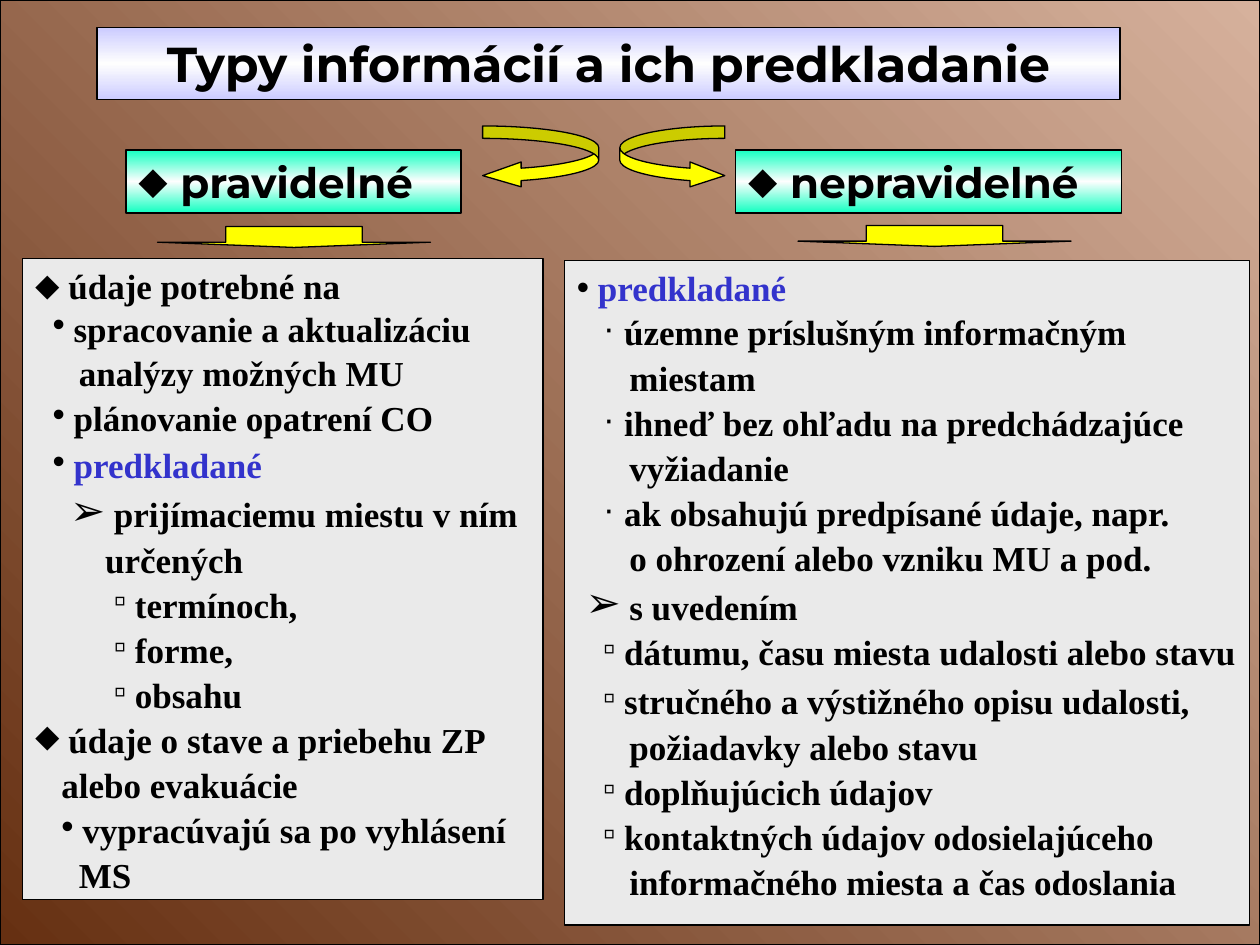
"""Build the slide on types of information and how they are submitted."""
from lxml import etree
from pptx import Presentation
from pptx import util as u
from pptx.dml import color
from pptx.enum import shapes, text
from pptx.oxml import ns

SERIF, SANS = "Times New Roman", "Montserrat"
BLACK, BLUE, YELLOW, GREY = "000000", "3333CC", "FFFF00", "EAEAEA"
BACK = ["D6B19C", "663012"]
LILAC = ["CCCCFF", "FEFEFE", "CCCCFF"]
MINT = ["13FFC1", "FEFEFE", "13FFC1"]

TITLE = "Typy informácií a ich predkladanie"
HEADS = [("pravidelné", (72, 85.7, 191.5, 36)),
         ("nepravidelné", (420.5, 85.7, 220.3, 36))]

# mark: (bullet, bullet start, text start)
MARKS = {
    "main": ("⬥", 0, 19), "dot": ("•", 10, 22), "late": ("•", 15, 27),
    "arrow": ("➢", 20, 45), "box": ("▫", 45, 57), "top": ("•", 0, 12),
    "mid": ("·", 15, 27), "with": ("➢", 5, 30), "item": ("▫", 15, 27),
}
LEFT = [
    ("main", "údaje potrebné na", {}),
    ("dot", "spracovanie a aktualizáciu", {"line": 0.4}),
    (25, "analýzy možných MU", {"after": 1.2}),
    ("dot", "plánovanie opatrení CO", {"line": 0.5}),
    ("dot", "predkladané", {"line": 0.5, "tint": BLUE}),
    ("arrow", "prijímaciemu miestu v ním", {"before": 14.5}),
    (40, "určených", {}),
    ("box", "termínoch,", {}),
    ("box", "forme,", {}),
    ("box", "obsahu", {}),
    ("main", "údaje o stave a priebehu ZP", {}),
    (15, "alebo evakuácie", {}),
    ("late", "vypracúvajú sa po vyhlásení", {}),
    (25, "MS", {}),
]
RIGHT = [
    ("top", "predkladané", {"tint": BLUE}),
    ("mid", "územne príslušným informačným", {}),
    (30, "miestam", {}),
    ("mid", "ihneď bez ohľadu na predchádzajúce", {}),
    (30, "vyžiadanie", {}),
    ("mid", "ak obsahujú predpísané údaje, napr.", {}),
    (30, "o ohrození alebo vzniku MU a pod.", {}),
    ("with", "s uvedením", {"before": 14.5}),
    ("item", "dátumu, času miesta udalosti alebo stavu", {"after": 5}),
    ("item", "stručného a výstižného opisu udalosti,", {}),
    (30, "požiadavky alebo stavu", {}),
    ("item", "doplňujúcich údajov", {}),
    ("item", "kontaktných údajov odosielajúceho", {}),
    (30, "informačného miesta a čas odoslania", {}),
]
PANELS = [(LEFT, (13, 147.8, 297.4, 366.2)), (RIGHT, (322.6, 149, 391.4, 379.6))]
KIND = shapes.MSO_SHAPE
ARROWS = [
    (KIND.CURVED_LEFT_ARROW, (275.8, 72, 66.4, 35.5), (0.2, 0.4, 0.62)),
    (KIND.CURVED_RIGHT_ARROW, (354.2, 72, 60, 35.5), (0.2, 0.4, 0.56)),
    (KIND.DOWN_ARROW, (90, 129.4, 156, 12), (0.5, 0.25)),
    (KIND.DOWN_ARROW, (456, 128.8, 156, 12), (0.5, 0.25)),
]


def rgb(code):
    return color.RGBColor.from_string(code)


def add(parent, tag, **attrs):
    node = etree.SubElement(parent, ns.qn(tag))
    for key, val in attrs.items():
        node.set(key, str(val))
    return node


def paint(shape, fill, angle=90):
    if isinstance(fill, str):
        shape.fill.solid()
        shape.fill.fore_color.rgb = rgb(fill)
    else:
        shape.fill.gradient()
        grad = shape.element.spPr.find(ns.qn("a:gradFill"))
        for child in list(grad):
            grad.remove(child)
        stops = add(grad, "a:gsLst")
        for i, code in enumerate(fill):
            stop = add(stops, "a:gs", pos=100000 * i // (len(fill) - 1))
            add(stop, "a:srgbClr", val=code)
        add(grad, "a:lin", ang=angle * 60000, scaled=0)
    shape.line.color.rgb = rgb(BLACK)
    shape.line.width = u.Pt(0.75)


def draw(slide, kind, area, fill, angle=90):
    shape = slide.shapes.add_shape(kind, *map(u.Pt, area))
    shape.shadow.inherit = False
    paint(shape, fill, angle)
    return shape


def setup(shape):
    frame = shape.text_frame
    frame.word_wrap = True
    frame.auto_size = text.MSO_AUTO_SIZE.NONE
    frame.vertical_anchor = text.MSO_ANCHOR.TOP
    frame.margin_left = frame.margin_right = u.Pt(7.2)
    frame.margin_top = frame.margin_bottom = u.Pt(3.6)
    return frame


def write(para, words, size=20, font=SERIF, tint=BLACK, mark=None, left=0,
          start=0, line=1, before=0, after=0, align=text.PP_ALIGN.LEFT):
    props = para._p.get_or_add_pPr()
    props.set("marL", str(u.Pt(left)))
    props.set("indent", str(u.Pt(start - left) if mark else 0))
    if mark:
        add(add(props, "a:buClr"), "a:srgbClr", val=BLACK)
        add(props, "a:buSzPct", val=120000 if mark == "➢" else 100000)
        add(props, "a:buFont", typeface="Arial")
        add(props, "a:buChar", char=mark)
    else:
        add(props, "a:buNone")
    para.alignment, para.line_spacing = align, line
    para.space_before, para.space_after = u.Pt(before), u.Pt(after)
    run = para.add_run()
    run.text = words
    run.font.size, run.font.name, run.font.bold = u.Pt(size), font, True
    run.font.color.rgb = rgb(tint)


def fill_panel(frame, rows):
    for i, (mark, words, extra) in enumerate(rows):
        para = frame.add_paragraph() if i else frame.paragraphs[0]
        sign, start, left = MARKS.get(mark, (None, 0, mark))
        space = {"line": 0.45, "before": 12.5, "after": 2.5} if i else {}
        write(para, words, mark=sign, start=start, left=left, **{**space, **extra})


def main():
    deck = Presentation()
    deck.slide_width, deck.slide_height = u.Pt(720), u.Pt(540)
    slide = deck.slides.add_slide(deck.slide_layouts[5])
    title = slide.shapes.title
    back = draw(slide, KIND.RECTANGLE, (0, 0, 720, 540), BACK, 135)
    title.element.addprevious(back.element)
    title.left, title.top, title.width, title.height = map(
        u.Pt, (55.4, 15.8, 584.6, 41))
    paint(title, LILAC)
    write(setup(title).paragraphs[0], TITLE, size=28, font=SANS,
          align=text.PP_ALIGN.CENTER)
    for words, area in HEADS:
        frame = setup(draw(slide, KIND.RECTANGLE, area, MINT))
        write(frame.paragraphs[0], words, size=24, font=SANS, mark="⬥", left=24)
    for rows, area in PANELS:
        frame = setup(draw(slide, KIND.RECTANGLE, area, GREY))
        fill_panel(frame, rows)
    for kind, area, shape in ARROWS:
        arrow = draw(slide, kind, area, YELLOW)
        for i, val in enumerate(shape):
            arrow.adjustments[i] = val
    deck.save("out.pptx")


if __name__ == "__main__":
    main()
